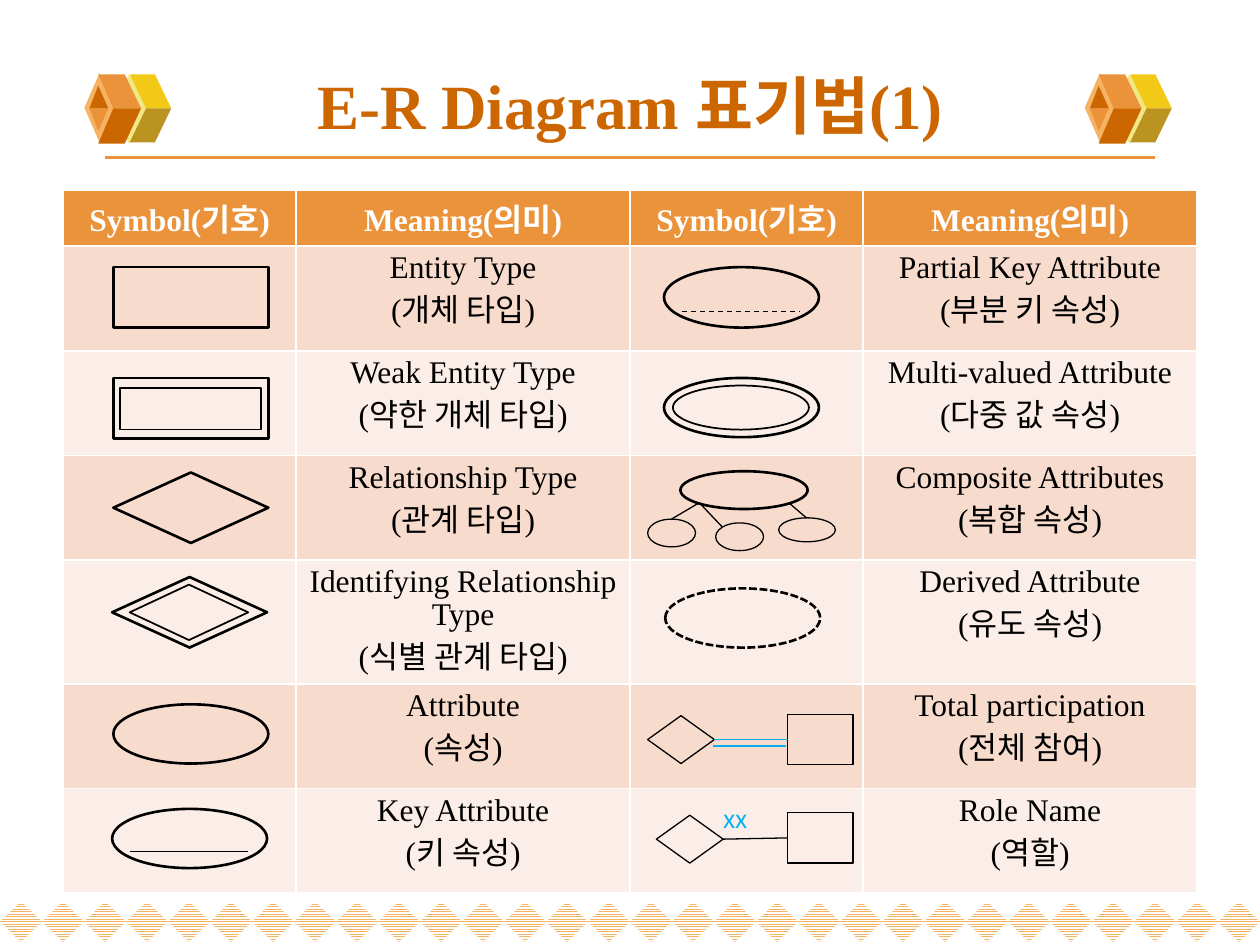
from dataclasses import dataclass
from typing import Optional

from lxml.etree import SubElement
from pptx import Presentation
from pptx.dml.color import RGBColor
from pptx.enum.dml import MSO_LINE as Dash, MSO_PATTERN as Pattern
from pptx.enum.shapes import MSO_CONNECTOR as Link, MSO_SHAPE as Kind
from pptx.enum.text import MSO_ANCHOR as Anchor, MSO_AUTO_SIZE as Fit, PP_ALIGN as Align
from pptx.oxml.ns import qn
from pptx.util import Inches, Pt

SERIF, SANS = "Times New Roman", "Noto Sans CJK KR"
BLACK, WHITE = RGBColor(0, 0, 0), RGBColor(255, 255, 255)
RUST, ORANGE = RGBColor(0xCC, 0x66, 0x00), RGBColor(0xEB, 0x93, 0x3B)
PEACH, CREAM = RGBColor(0xF5, 0xB3, 0x63), RGBColor(0xF1, 0xE7, 0x85)
GOLD, OLIVE = RGBColor(0xF3, 0xC9, 0x17), RGBColor(0xBB, 0x93, 0x21)
BAND, PALE = RGBColor(0xF7, 0xDC, 0xCE), RGBColor(0xFB, 0xEE, 0xE8)
SKY = RGBColor(0x00, 0xB0, 0xF0)
RECT, OVAL, GEM = Kind.RECTANGLE, Kind.OVAL, Kind.FLOWCHART_DECISION


@dataclass
class Mark:
    """An outlined symbol, placed on a grid of 100 columns by 75 rows."""
    kind: Kind
    col: float
    row: float
    wide: float
    high: float
    line: float = 1.5
    dash: Optional[Dash] = None


@dataclass
class Stroke:
    """A straight line between two grid points."""
    x1: float
    y1: float
    x2: float
    y2: float
    line: float = 0.75
    color: RGBColor = BLACK
    dash: Optional[Dash] = None


@dataclass
class Face:
    """A filled side of the cube ornament."""
    color: RGBColor
    points: list


HEAD = ["Symbol(기호)", "Meaning(의미)"] * 2
ROWS = [
    ("Entity Type", "(개체 타입)", "Partial Key Attribute", "(부분 키 속성)"),
    ("Weak Entity Type", "(약한 개체 타입)", "Multi-valued Attribute", "(다중 값 속성)"),
    ("Relationship Type", "(관계 타입)", "Composite Attributes", "(복합 속성)"),
    ("Identifying Relationship Type", "(식별 관계 타입)", "Derived Attribute", "(유도 속성)"),
    ("Attribute", "(속성)", "Total participation", "(전체 참여)"),
    ("Key Attribute", "(키 속성)", "Role Name", "(역할)"),
]
MARKS = [
    Mark(RECT, 9, 21.2, 12.3, 4.8),               # entity
    Mark(RECT, 9, 30, 12.3, 4.8),                 # weak entity
    Mark(RECT, 9.5, 30.8, 11.2, 3.3, 1),
    Mark(GEM, 9, 37.5, 12.3, 5.6),                # relationship
    Mark(GEM, 8.9, 45.8, 12.3, 5.6),              # identifying relationship
    Mark(GEM, 10.3, 46.4, 9.4, 4.4, 1),
    Mark(OVAL, 9, 55.9, 12.3, 4.7),               # attribute
    Mark(OVAL, 8.9, 64.2, 12.3, 4.7),             # key
    Mark(OVAL, 52.7, 21.2, 12.3, 4.8),            # partial key
    Mark(OVAL, 52.7, 30, 12.3, 4.7),              # multi-valued
    Mark(OVAL, 53.4, 30.6, 10.8, 3.5, 1),
    Mark(OVAL, 54, 37.4, 10.1, 3),                # composite
    Mark(OVAL, 51.4, 41.2, 3.8, 2.2, 0.75),
    Mark(OVAL, 56.8, 41.5, 3.8, 2.2, 0.75),
    Mark(OVAL, 61.8, 41.1, 4.5, 1.9, 0.75),
    Mark(OVAL, 52.8, 46.7, 12.3, 4.7, dash=Dash.SQUARE_DOT),  # derived
]
STROKES = [
    Stroke(10.3, 67.6, 19.7, 67.6),
    Stroke(54.1, 24.7, 63.5, 24.7, dash=Dash.DASH),
    Stroke(55.5, 39.9, 53.3, 41.2),
    Stroke(55.5, 39.9, 57.3, 41.8),
    Stroke(62.6, 39.9, 64, 41.1),
    Stroke(56.6, 59.2, 62.4, 59.2, color=SKY),
]
FACES = [
    Face(CREAM, [(1.9, 8.65), (3.55, 5.9), (5.2, 8.65), (3.55, 11.4)]),
    Face(GOLD, [(4.9, 8.6), (6.9, 8.6), (5.6, 5.9), (3.6, 5.9)]),
    Face(OLIVE, [(4.9, 8.6), (6.9, 8.6), (5.6, 11.3), (3.6, 11.3)]),
    Face(PEACH, [(0, 8.55), (1.2, 5.8), (2.4, 8.55), (1.2, 11.3)]),
    Face(ORANGE, [(2.3, 8.6), (4.5, 8.6), (3.2, 5.9), (1.1, 5.9)]),
    Face(RUST, [(2.3, 8.6), (4.5, 8.6), (3.2, 11.4), (1.1, 11.4)]),
    Face(RUST, [(1.1, 6.8), (0.4, 8.6), (1.9, 8.6)]),
    Face(ORANGE, [(1.1, 10.4), (0.4, 8.6), (1.9, 8.6)]),
]

deck = Presentation()
deck.slide_width, deck.slide_height = Inches(10), Inches(7.5)
slide = deck.slides.add_slide(deck.slide_layouts[5])
shapes = slide.shapes


def grid(*steps: float) -> list:
    return [round(deck.slide_width * step / 100) for step in steps]


def style(para, size: float, color: RGBColor, bold: bool = False, face: str = SERIF) -> None:
    font = para.font
    font.size, font.bold, font.name = Pt(size), bold, face
    font.color.rgb = color


def draw_mark(mark: Mark):
    shape = shapes.add_shape(mark.kind, *grid(mark.col, mark.row, mark.wide, mark.high))
    shape.shadow.inherit = False
    shape.fill.background()
    shape.line.color.rgb, shape.line.width = BLACK, Pt(mark.line)
    if mark.dash:
        shape.line.dash_style = mark.dash
    return shape


def draw_line(line: Stroke):
    link = shapes.add_connector(Link.STRAIGHT, *grid(line.x1, line.y1, line.x2, line.y2))
    SubElement(link._element.spPr, qn("a:effectLst"))
    link.line.color.rgb, link.line.width = line.color, Pt(line.line)
    if line.dash:
        link.line.dash_style = line.dash
    return link


def draw_face(face: Face, left: float) -> None:
    points = [tuple(grid(left + x, y)) for x, y in face.points]
    path = shapes.build_freeform(*points[0])
    path.add_line_segments(points[1:], close=True)
    shape = path.convert_to_shape()
    shape.shadow.inherit = False
    shape.fill.solid()
    shape.fill.fore_color.rgb = face.color
    shape.line.fill.background()


def draw_pair(gem: Mark, box: Mark, color: RGBColor, width: float) -> None:
    """A relationship joined to an entity."""
    start, end = draw_mark(gem), draw_mark(box)
    link = draw_line(Stroke(0, 0, 1, 1, width, color))
    link.begin_connect(start, 3)
    link.end_connect(end, 1)


def fill_cell(cell, lines: list, back: RGBColor, color: RGBColor, bold: bool) -> None:
    cell.fill.solid()
    cell.fill.fore_color.rgb = back
    cell.text = "\n".join(lines)
    for i, para in enumerate(cell.text_frame.paragraphs):
        para.alignment, para.line_spacing = Align.CENTER, 0.95
        if i:
            para.space_before = Pt(1)
        style(para, 18, color, bold)


# Border of striped diamonds
COUNT = 30
for i in range(COUNT):
    tile = shapes.add_shape(Kind.DIAMOND, *grid(i * 100 / COUNT, 71.55, 100 / COUNT, 3.2))
    tile.shadow.inherit = False
    tile.fill.patterned()
    tile.fill.pattern = Pattern.NARROW_HORIZONTAL
    tile.fill.fore_color.rgb, tile.fill.back_color.rgb = PEACH, WHITE
    tile.line.fill.background()

# Title, its rule and the cubes
draw_line(Stroke(8.3, 12.5, 91.7, 12.5, 2.25, ORANGE))
for left in (6.7, 86.1):
    for face in FACES:
        draw_face(face, left)
title = shapes.title
title.left, title.top, title.width, title.height = grid(5, 4, 90, 8.5)
title.text_frame.text = "E-R Diagram 표기법(1)"
title.text_frame.vertical_anchor = Anchor.MIDDLE
title.text_frame.paragraphs[0].alignment = Align.CENTER
style(title.text_frame.paragraphs[0], 36, RUST, True)

# Table of meanings
table = shapes.add_table(len(ROWS) + 1, 4, *grid(5, 15.1, 90, 54.2)).table
for col, wide in zip(table.columns, grid(18.5, 26.5) * 2):
    col.width = wide
for i, row in enumerate(table.rows):
    row.height = grid(8.3 if i else 4.4)[0]
for j, name in enumerate(HEAD):
    fill_cell(table.cell(0, j), [name], ORANGE, WHITE, True)
for i, row in enumerate(ROWS, 1):
    for j, lines in enumerate(([], row[:2], [], row[2:])):
        fill_cell(table.cell(i, j), lines, BAND if i % 2 else PALE, BLACK, False)

# Symbols
for mark in MARKS:
    draw_mark(mark)
for stroke in STROKES:
    draw_line(stroke)
draw_pair(Mark(GEM, 51.4, 56.8, 5.3, 3.8, 0.75), Mark(RECT, 62.5, 56.7, 5.2, 4, 0.75), SKY, 0.75)
draw_pair(Mark(GEM, 52.1, 64.7, 5.3, 3.8, 0.75), Mark(RECT, 62.5, 64.5, 5.2, 4, 0.75), BLACK, 0.75)

# Role label
label = shapes.add_textbox(*grid(56.4, 63.3, 5.2, 3.4)).text_frame
label.word_wrap, label.auto_size = True, Fit.SHAPE_TO_FIT_TEXT
label.text = "xx"
style(label.paragraphs[0], 14, SKY, face=SANS)

deck.save("out.pptx")
